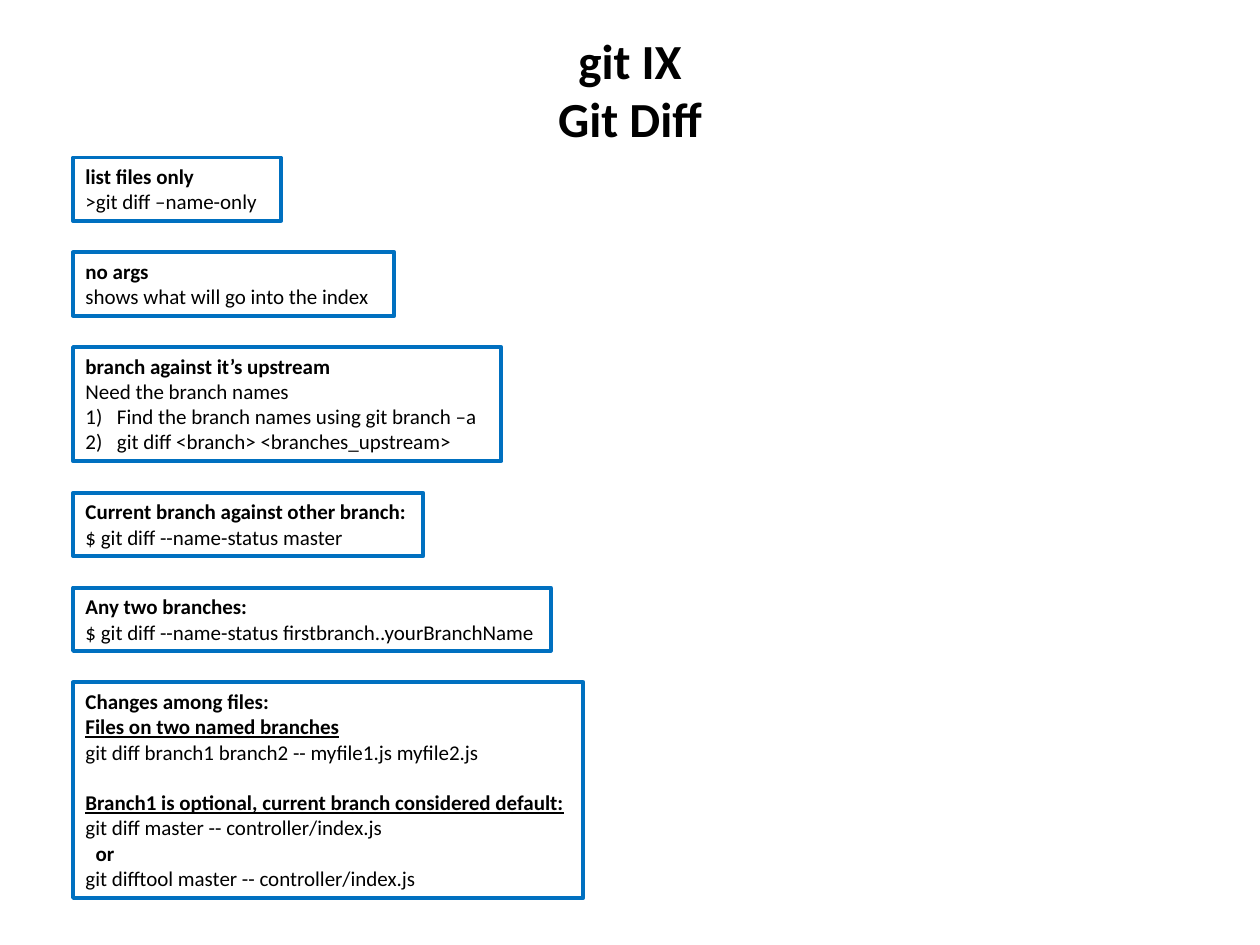
import pptx
import pptx.dml.color
import pptx.enum.text
import pptx.util
from lxml import etree
from pptx.util import Inches

BLACK = pptx.dml.color.RGBColor(0x00, 0x00, 0x00)
WHITE = pptx.dml.color.RGBColor(0xFF, 0xFF, 0xFF)
BLUE = pptx.dml.color.RGBColor(0x00, 0x70, 0xC0)
DRAWING = "http://schemas.openxmlformats.org/drawingml/2006/main"

LEFT = Inches(0.58)
FIRST_TOP = Inches(1.25)
GAP = Inches(0.25)
LINE_HEIGHT = pptx.util.Pt(14.5)
PADDING = Inches(0.1)

NOTES = [
    (1.65, [("heading", "list files only"), ("plain", ">git diff –name-only")]),
    (2.55, [("heading", "no args"), ("plain", "shows what will go into the index")]),
    (3.4, [
        ("heading", "branch against it’s upstream"),
        ("plain", "Need the branch names"),
        ("numbered", "Find the branch names using git branch –a"),
        ("numbered", "git diff <branch> <branches_upstream>"),
    ]),
    (2.78, [
        ("heading", "Current branch against other branch:"),
        ("plain", "$ git diff --name-status master"),
    ]),
    (3.79, [
        ("heading", "Any two branches:"),
        ("plain", "$ git diff --name-status firstbranch..yourBranchName"),
    ]),
    (4.05, [
        ("heading", "Changes among files:"),
        ("underlined", "Files on two named branches"),
        ("plain", "git diff branch1 branch2 -- myfile1.js myfile2.js"),
        ("spaced", "Branch1 is optional, current branch considered default:"),
        ("plain", "git diff master -- controller/index.js"),
        ("indented", "or"),
        ("plain", "git difftool master -- controller/index.js"),
    ]),
]


class NotePage:
    font_name = "Calibri"

    def __init__(self, page):
        self.page = page

    def style(self, para, size, bold, underline=False):
        para.font.name = self.font_name
        para.font.size = pptx.util.Pt(size)
        para.font.bold = bold
        para.font.underline = underline
        para.font.color.rgb = BLACK

    def indent(self, para, margin, first=0):
        properties = para._p.get_or_add_pPr()
        properties.set("marL", str(Inches(margin)))
        properties.set("indent", str(Inches(first)))
        return properties

    def title(self, lines):
        box = self.page.shapes.add_textbox(Inches(0.5), Inches(0.08), Inches(9), Inches(1.25))
        frame = box.text_frame
        frame.word_wrap = True
        frame.vertical_anchor = pptx.enum.text.MSO_ANCHOR.MIDDLE
        para = frame.paragraphs[0]
        para.alignment = pptx.enum.text.PP_ALIGN.CENTER
        for index, line in enumerate(lines):
            if index:
                para.add_line_break()
            para.add_run().text = line
        self.style(para, 28, True)

    def note(self, top, width, lines):
        rows = len(lines) + sum(kind == "spaced" for kind, text in lines)
        height = PADDING + rows * LINE_HEIGHT
        box = self.page.shapes.add_textbox(LEFT, top, Inches(width), height)
        box.fill.solid()
        box.fill.fore_color.rgb = WHITE
        box.line.color.rgb = BLUE
        box.line.width = pptx.util.Pt(2.25)
        frame = box.text_frame
        frame.word_wrap = True
        for index, (kind, text) in enumerate(lines):
            para = frame.add_paragraph() if index else frame.paragraphs[0]
            para.text = text
            if kind == "numbered":
                properties = self.indent(para, 0.25, -0.25)
                etree.SubElement(properties, f"{{{DRAWING}}}buAutoNum", type="arabicParenR")
            elif kind == "indented":
                self.indent(para, 0.08)
            elif kind == "spaced":
                para.space_before = LINE_HEIGHT
            self.style(para, 12, kind not in ("plain", "numbered"),
                       kind in ("underlined", "spaced"))
        return top + height


def main():
    deck = pptx.Presentation()
    deck.slide_width = Inches(10)
    deck.slide_height = Inches(7.5)
    notes = NotePage(deck.slides.add_slide(deck.slide_layouts[6]))
    notes.title(["git IX", "Git Diff"])
    top = FIRST_TOP
    for width, lines in NOTES:
        top = notes.note(top, width, lines) + GAP
    deck.save("out.pptx")


if __name__ == "__main__":
    main()
